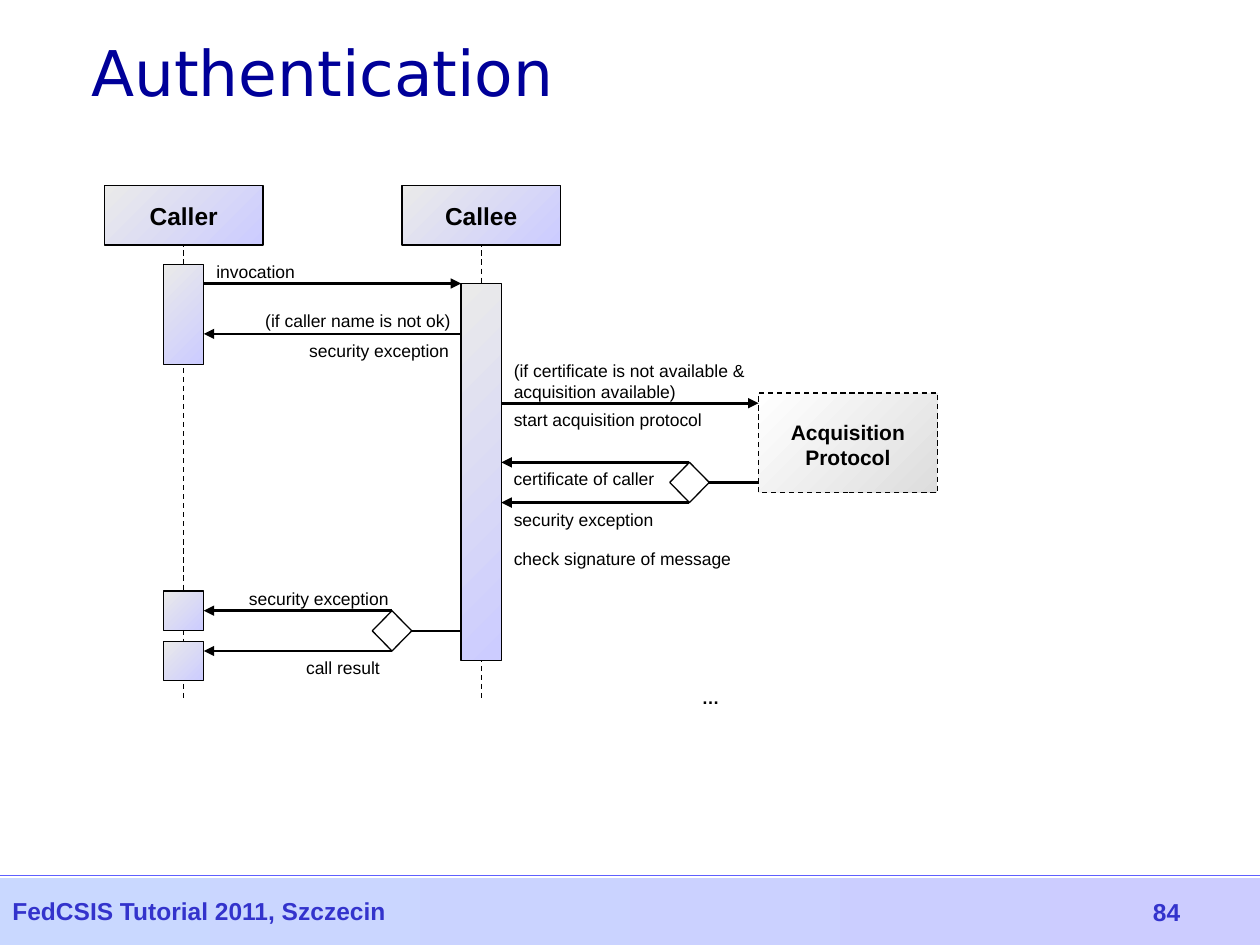
from lxml import etree
from pptx import Presentation
from pptx.dml.color import RGBColor
from pptx.enum.dml import MSO_LINE_DASH_STYLE as Dash
from pptx.enum.shapes import MSO_CONNECTOR as Conn, MSO_SHAPE as Geo
from pptx.enum.text import MSO_ANCHOR as Anchor, PP_ALIGN as Align
from pptx.oxml.ns import qn
from pptx.util import Pt

COLORS = {
    "ink": "000000", "title": "000099", "footer": "3333CC", "rule": "5F5FFF",
    "band_from": "C9D8FF", "lilac": "CCCCFF", "pale": "EAEAEA",
    "grey": "DDDDDD", "white": "FFFFFF",
}
TOP, LEFT, BOTTOM, RIGHT = range(4)

# Vertical axes and widths of the sequence diagram
CALLER, CALLEE = 105, 275
BAR_W, HEAD_W = 23, 90.6
HEAD_TOP, HEAD_H = 106, 34
LIFE_TOP, LIFE_END = 122.5, 400.3
PROTOCOL = (433.5, 224.6, 102.2, 57)

HEADS = [("Caller", CALLER), ("Callee", CALLEE)]
BARS = {  # name: axis, top, height
    "caller": (CALLER, 151.2, 57),
    "callee": (CALLEE, 162, 215.3),
    "failed": (CALLER, 337.7, 22.6),
    "done": (CALLER, 366.5, 22.6),
}
DIAMONDS = {"outcome": (224, 349), "certificate": (394, 264.2)}  # axis, top
DIAMOND_W, DIAMOND_H = 22.6, 23

CALLER_EDGE = CALLER + BAR_W / 2
CALLEE_IN, CALLEE_OUT = CALLEE - BAR_W / 2, CALLEE + BAR_W / 2

CALLS = [  # from x, to x, y
    (CALLER_EDGE, CALLEE_IN, 162),
    (CALLEE_IN, CALLER_EDGE, 190.8),
    (CALLEE_OUT, PROTOCOL[0], 230.4),
]
BRANCHES = [  # diamond, x where it is fed, x of the receiver, bar joined by the top arrow
    ("outcome", CALLEE_IN, CALLER_EDGE, "failed"),
    ("certificate", PROTOCOL[0], CALLEE_OUT, None),
]
LABELS = [  # text, left, top, width, height, alignment
    ("invocation", CALLER_EDGE, 145.5, 147.5, 26.6, Align.LEFT),
    ("(if caller name is not ok)", 144.5, 173.5, 147, 26.6, Align.LEFT),
    ("security exception", CALLER_EDGE, 190.8, 147, 26.6, Align.RIGHT),
    ("(if certificate is not available &\nacquisition available)",
     CALLEE_OUT, 202.2, 181.5, 26.6, Align.LEFT),
    ("start acquisition protocol", CALLEE_OUT, 230.4, 198.5, 26.6, Align.LEFT),
    ("certificate of caller", CALLEE_OUT, 264.2, 113.5, 26.6, Align.LEFT),
    ("security exception", CALLEE_OUT, 287.2, 102.2, 26.6, Align.LEFT),
    ("check signature of message", CALLEE_OUT, 309.8, 147.5, 26.6, Align.LEFT),
    ("security exception", CALLER_EDGE, 332.5, 112.5, 17.3, Align.RIGHT),
    ("call result", 144.5, 372, 79.5, 23, Align.RIGHT),
]

prs = Presentation()
prs.slide_width, prs.slide_height = Pt(720), Pt(540)
slide = prs.slides.add_slide(prs.slide_layouts[5])
shapes = slide.shapes


def rgb(name):
    return RGBColor.from_string(COLORS[name])


def pts(*values):
    return [Pt(round(v, 2)) for v in values]


def write(sp, text, size=10, font="Arial", color="ink", bold=False,
          align=Align.LEFT, anchor=Anchor.TOP, wrap=True):
    tf = sp.text_frame
    tf.word_wrap, tf.vertical_anchor = wrap, anchor
    for i, line in enumerate(text.split("\n")):
        p = tf.add_paragraph() if i else tf.paragraphs[0]
        p.alignment = align
        r = p.add_run()
        r.text = line
        r.font.size, r.font.name, r.font.bold = Pt(size), font, bold
        r.font.color.rgb = rgb(color)


def add_text(text, box, **fmt):
    write(shapes.add_textbox(*pts(*box)), text, **fmt)


def add_box(box, gradient=None, angle=315, geo=Geo.RECTANGLE, line="ink", dash=None):
    """Outlined shape; gradient is a pair of colour names, angle runs anticlockwise."""
    sp = shapes.add_shape(geo, *pts(*box))
    sp.shadow.inherit = False
    if gradient:
        sp.fill.gradient()
        sp.fill.gradient_angle = angle
        for stop, name in zip(sp.fill.gradient_stops, gradient):
            stop.color.rgb = rgb(name)
    else:
        sp.fill.background()
    if line:
        sp.line.color.rgb, sp.line.width = rgb(line), Pt(0.75)
        sp.line.dash_style = dash
    else:
        sp.line.fill.background()
    return sp


def add_line(x1, y1, x2, y2, width=1.5, color="ink", dash=None, arrow=False,
             begin=None, end=None):
    """Straight line; begin and end are optional (shape, side) joints."""
    c = shapes.add_connector(Conn.STRAIGHT, *pts(x1, y1, x2, y2))
    c.line.color.rgb, c.line.width = rgb(color), Pt(width)
    if dash:
        c.line.dash_style = dash
    if arrow:
        etree.SubElement(c.line._get_or_add_ln(), qn("a:tailEnd"), type="triangle")
    etree.SubElement(c._element.spPr, qn("a:effectLst"))
    if begin:
        c.begin_connect(*begin)
    if end:
        c.end_connect(*end)


# Footer and title
add_box((0, 502, 720, 38), ("band_from", "lilac"), angle=0, line=None)
add_line(0, 500.5, 720, 500.5, width=0.75, color="rule")
footer = dict(size=14, color="footer", bold=True, anchor=Anchor.MIDDLE)
add_text("FedCSIS Tutorial 2011, Szczecin", (0, 500.5, 720, 39.5), **footer)
add_text("84", (513.5, 502.5, 168, 37.5), align=Align.RIGHT, **footer)

title = shapes.title
title.left, title.top, title.width, title.height = pts(45, 12, 630, 54)
write(title, "Authentication", size=36, font="DejaVu Sans", color="title",
      anchor=Anchor.BOTTOM)

# Participants, activation bars and decisions
for name, x in HEADS:
    add_line(x, LIFE_TOP, x, LIFE_END, width=0.75, dash=Dash.DASH)
    head = add_box((x - HEAD_W / 2, HEAD_TOP, HEAD_W, HEAD_H), ("pale", "lilac"))
    write(head, name, size=14, bold=True, align=Align.CENTER,
          anchor=Anchor.MIDDLE, wrap=False)

bars = {name: add_box((x - BAR_W / 2, top, BAR_W, h), ("pale", "lilac"))
        for name, (x, top, h) in BARS.items()}
diamonds = {name: add_box((x - DIAMOND_W / 2, top, DIAMOND_W, DIAMOND_H), geo=Geo.DIAMOND)
            for name, (x, top) in DIAMONDS.items()}
add_box(PROTOCOL, ("grey", "white"), angle=135, dash=Dash.DASH)

# Messages
for x1, x2, y in CALLS:
    add_line(x1, y, x2, y, arrow=True)

for name, source, target, bar in BRANCHES:
    x, top = DIAMONDS[name]
    sp, middle, bottom = diamonds[name], top + DIAMOND_H / 2, top + DIAMOND_H
    add_line(source, middle, x + DIAMOND_W / 2, middle, end=(sp, RIGHT))
    add_line(x, top, target, top, arrow=True, begin=(sp, TOP),
             end=(bars[bar], RIGHT) if bar else None)
    add_line(x, bottom, target, bottom, arrow=True, begin=(sp, BOTTOM))

for text, *box, align in LABELS:
    add_text(text, box, align=align)
add_text("Acquisition Protocol", (439.2, 236, 90.7, 26.6), size=12, bold=True,
         align=Align.CENTER)
add_text("…", (394, 389, 34, 26.6), bold=True)

prs.save("out.pptx")
